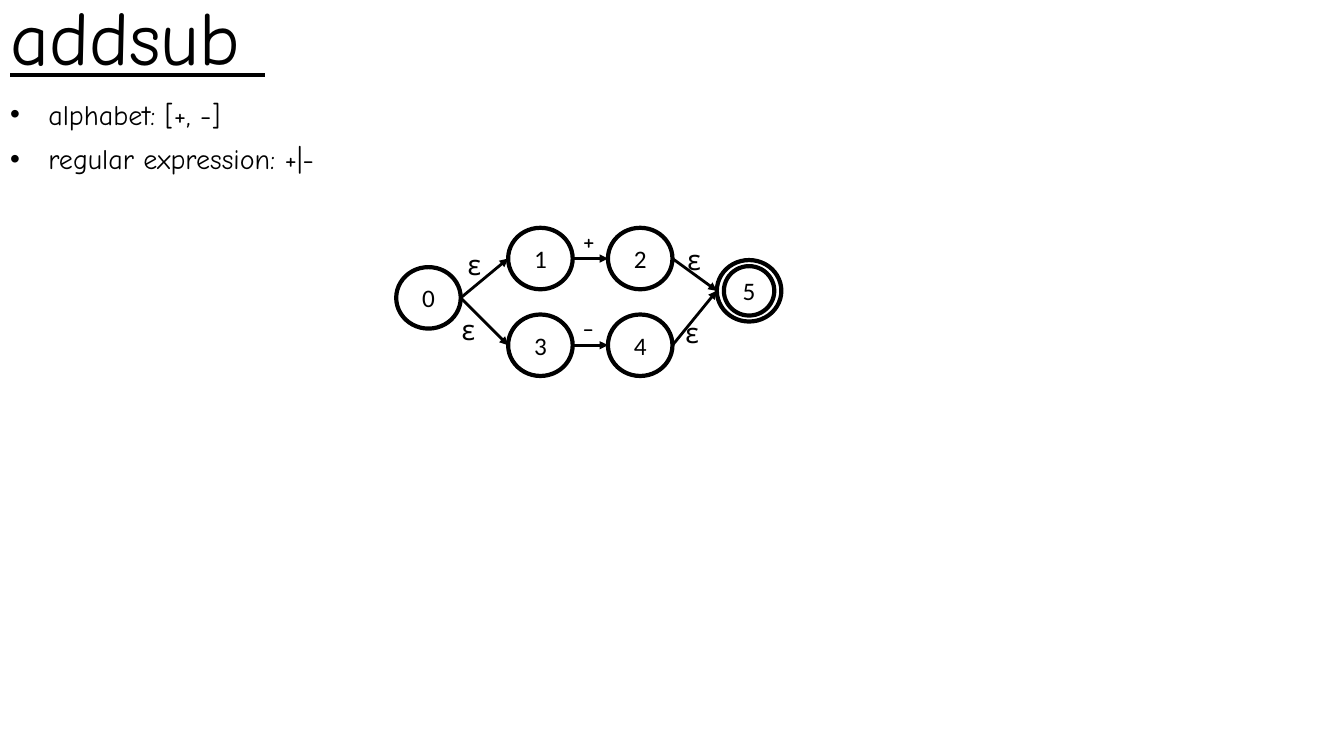
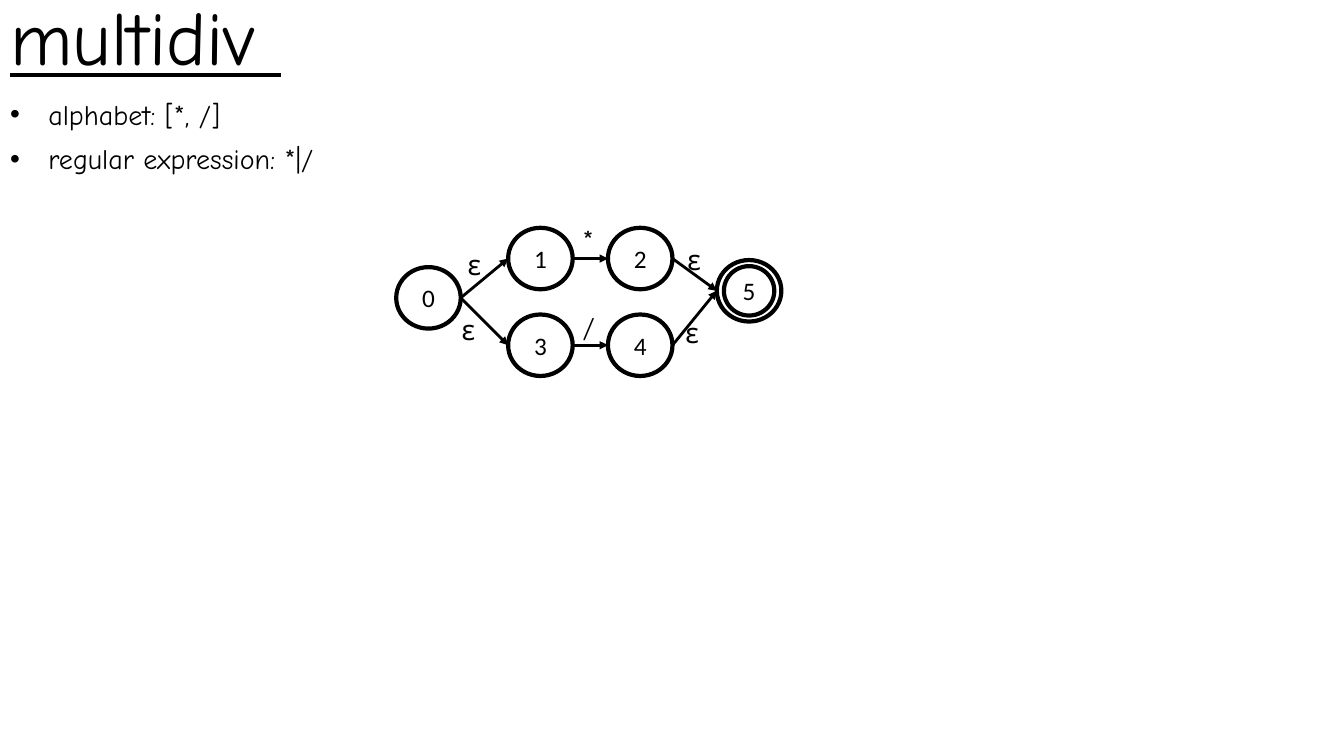
"""Build two slides that show the automata for the addsub and multidiv tokens."""
import pptx
import pptx.dml.color
import pptx.enum.shapes
import pptx.enum.text
import pptx.oxml.ns
import pptx.util
import lxml.etree

EMU_PER_PX = 9144
COLORS = {"ink": "000000"}
HAND_FONT = "Comic Neue"
STATE_FONT = "Calibri"
STATE_SIZE = (64, 61)
STATES = {
    "0": (393, 265),
    "1": (504, 226),
    "2": (603, 226),
    "3": (504, 312),
    "4": (603, 312),
    "5": (711, 258),
}
FINAL_STATE = "5"
FINAL_INSET = (7, 6)
EDGES = [("0", "1"), ("0", "3"), ("1", "2"), ("3", "4"), ("2", "5"), ("4", "5")]
EPSILON_PLACES = [(454, 244), (448, 309), (672, 239), (670, 312)]
SYMBOL_PLACES = [(568, 220), (568, 306)]
ELLIPSE_LEFT, ELLIPSE_RIGHT = "2", "6"


def px(*lengths):
    return [pptx.util.Emu(length * EMU_PER_PX) for length in lengths]


def ink():
    return pptx.dml.color.RGBColor.from_string(COLORS["ink"])


def add_xml(parent, tag, **attributes):
    return lxml.etree.SubElement(parent, pptx.oxml.ns.qn(tag), attributes)


def format_paragraph(paragraph, size, font=HAND_FONT, underline=None,
                     spacing=0.9, before=0, align="LEFT"):
    paragraph.alignment = getattr(pptx.enum.text.PP_ALIGN, align)
    paragraph.line_spacing = spacing
    paragraph.space_before = pptx.util.Pt(before)
    for run in paragraph.runs:
        run.font.size = pptx.util.Pt(size)
        run.font.name = font
        run.font.underline = underline
        run.font.color.rgb = ink()


def place(shape, left, top, width, height):
    shape.left, shape.top, shape.width, shape.height = px(left, top, width, height)


def set_text(shape, text, anchor):
    frame = shape.text_frame
    frame.text = text
    frame.word_wrap = True
    frame.auto_size = pptx.enum.text.MSO_AUTO_SIZE.NONE
    frame.vertical_anchor = getattr(pptx.enum.text.MSO_ANCHOR, anchor)
    return frame.paragraphs


def fill_title(slide, text):
    title = slide.shapes.title
    place(title, 0, 0, 1000, 86)
    for paragraph in set_text(title, text, "BOTTOM"):
        format_paragraph(paragraph, 54, underline=True)


def fill_bullets(slide, lines):
    body = slide.placeholders[1]
    place(body, 0, 95, 1333, 105)
    indent = px(38)[0]
    for paragraph in set_text(body, "\n".join(lines), "TOP"):
        format_paragraph(paragraph, 20, before=10)
        properties = paragraph._p.get_or_add_pPr()
        properties.set("marL", str(indent))
        properties.set("indent", str(-indent))
        add_xml(properties, "a:buFont", typeface="Arial")
        add_xml(properties, "a:buChar", char="•")


def add_ring(slide, left, top, width, height):
    ring = slide.shapes.add_shape(
        pptx.enum.shapes.MSO_SHAPE.OVAL, *px(left, top, width, height))
    ring.shadow.inherit = False
    ring.fill.background()
    ring.line.color.rgb = ink()
    ring.line.width = pptx.util.Pt(3)
    return ring


def add_state(slide, name, left, top):
    state = add_ring(slide, left, top, *STATE_SIZE)
    for paragraph in set_text(state, name, "MIDDLE"):
        format_paragraph(paragraph, 18, STATE_FONT, spacing=1.0, align="CENTER")
    if name == FINAL_STATE:
        (width, height), (dx, dy) = STATE_SIZE, FINAL_INSET
        add_ring(slide, left + dx, top + dy, width - 2 * dx, height - 2 * dy)
    return state


def add_arrow(slide, source, target):
    arrow = slide.shapes.add_connector(
        pptx.enum.shapes.MSO_CONNECTOR.STRAIGHT, 0, 0, 0, 0)
    arrow.begin_connect(source, 3)
    arrow.end_connect(target, 1)
    joints = arrow._element.nvCxnSpPr.cNvCxnSpPr
    joints.find(pptx.oxml.ns.qn("a:stCxn")).set("idx", ELLIPSE_RIGHT)
    joints.find(pptx.oxml.ns.qn("a:endCxn")).set("idx", ELLIPSE_LEFT)
    arrow.line.color.rgb = ink()
    arrow.line.width = pptx.util.Pt(2)
    add_xml(arrow.line._get_or_add_ln(), "a:tailEnd", type="triangle")
    add_xml(arrow._element.spPr, "a:effectLst")


def add_label(slide, text, left, top, width, height):
    label = slide.shapes.add_textbox(*px(left, top, width, height))
    for paragraph in set_text(label, text, "TOP"):
        format_paragraph(paragraph, 20, before=10)


def add_automaton(slide, symbols):
    states = {name: add_state(slide, name, *corner) for name, corner in STATES.items()}
    for source, target in EDGES:
        add_arrow(slide, states[source], states[target])
    for corner in EPSILON_PLACES:
        add_label(slide, "ε", *corner, 50, 61)
    for symbol, corner in zip(symbols, SYMBOL_PLACES):
        add_label(slide, symbol, *corner, 55, 69)


def add_token_slide(presentation, title, symbols):
    slide = presentation.slides.add_slide(presentation.slide_layouts[0])
    fill_title(slide, title)
    fill_bullets(slide, [f"alphabet: [{', '.join(symbols)}]",
                         f"regular expression: {'|'.join(symbols)}"])
    add_automaton(slide, symbols)


def main():
    presentation = pptx.Presentation()
    presentation.slide_width, presentation.slide_height = px(1333, 750)
    add_token_slide(presentation, "addsub ", "+-")
    add_token_slide(presentation, "multidiv ", "*/")
    presentation.save("out.pptx")


if __name__ == "__main__":
    main()
